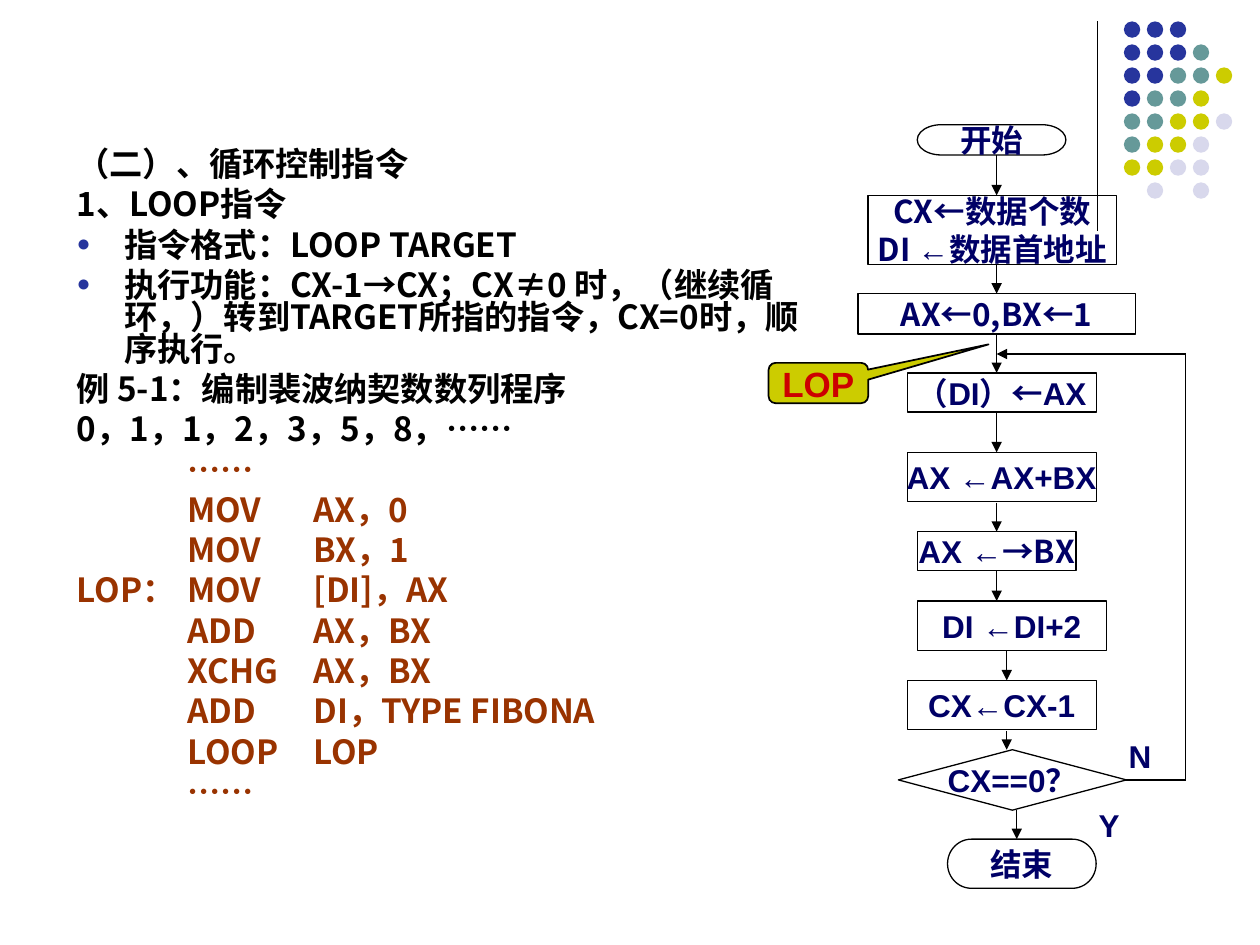
import pptx
import pptx.util
import pptx.dml.color
import pptx.enum.shapes
import pptx.enum.text
import pptx.oxml.ns
import lxml.etree

Inches = pptx.util.Inches
Pt = pptx.util.Pt
SHAPE = pptx.enum.shapes.MSO_SHAPE
ALIGN = pptx.enum.text.PP_ALIGN
NOTO = "Noto Sans CJK SC"
NAVY, BROWN, BLUE = "000066", "993300", "27359D"
TOP, BOTTOM, RIGHT = 0, 2, 3
DOTS = ["BBB", "BBBT", "BBTTY", "BTTY", "TTYYL", "TYYL", "YYLL", " L L"]
TINTS = {"B": BLUE, "T": "669999", "Y": "CCCC00", "L": "D8D8EC"}
NOTES = [
    ("（二）、循环控制指令", False),
    ("1、LOOP指令", False),
    ("指令格式：LOOP TARGET", True),
    ("执行功能：CX-1→CX；CX≠0 时，（继续循环，）转到TARGET所指的指令，CX=0时，顺序执行。", True),
    ("例 5-1：编制裴波纳契数数列程序", False),
    ("0，1，1，2，3，5，8，……", False),
]
CODE = ["\t\t……", "\t\tMOV\tAX，0", "\t\tMOV\tBX，1", "LOP：\tMOV\t[DI]，AX",
        "\t\tADD\tAX，BX", "\t\tXCHG\tAX，BX", "\t\tADD\tDI，TYPE FIBONA",
        "\t\tLOOP\tLOP", "\t\t……"]


def paint(color, value):
    """Set a colour from a hex string."""
    color.rgb = pptx.dml.color.RGBColor.from_string(value)


def add(parent, tag, **attrs):
    """Append a DrawingML child element and return it."""
    name = pptx.oxml.ns.qn("a:" + tag)
    return lxml.etree.SubElement(parent, name, attrs)


def write(par, text, size=18, font="Arial", color=NAVY):
    """Add one bold run to a paragraph."""
    run = par.add_run()
    run.text = text
    run.font.size = Pt(size)
    run.font.bold = True
    paint(run.font.color, color)
    run.font.name = font
    add(run.font._element, "ea", typeface=NOTO)


def draw(slide, kind, place, fill=None, line=None, width=0.75):
    """Add a preset shape with plain fill and outline."""
    shape = slide.shapes.add_shape(kind, *map(Inches, place))
    shape.shadow.inherit = False
    if fill:
        shape.fill.solid()
        paint(shape.fill.fore_color, fill)
    else:
        shape.fill.background()
    if line:
        paint(shape.line.color, line)
        shape.line.width = Pt(width)
    else:
        shape.line.fill.background()
    return shape


def label(shape, *lines, **style):
    """Centre lines in a shape, each a list of (text, font) runs."""
    frame = shape.text_frame
    frame.word_wrap = False
    frame.vertical_anchor = pptx.enum.text.MSO_ANCHOR.MIDDLE
    for i, runs in enumerate(lines):
        par = frame.add_paragraph() if i else frame.paragraphs[0]
        par.alignment = ALIGN.CENTER
        for text, font in runs:
            write(par, text, font=font, **style)


def step(slide, kind, place, *lines):
    """Add one outlined flowchart step with its text."""
    shape = draw(slide, kind, place, line="000000")
    label(shape, *lines)
    return shape


def link(slide, start, end, arrow=True, begin=None, finish=None):
    """Add a straight line, joined to shapes where given."""
    kind = pptx.enum.shapes.MSO_CONNECTOR.STRAIGHT
    line = slide.shapes.add_connector(kind, *map(Inches, start + end))
    if begin:
        line.begin_connect(*begin)
    if finish:
        line.end_connect(*finish)
    paint(line.line.color, "000000")
    line.line.width = Pt(0.75)
    if arrow:
        add(line.line._get_or_add_ln(), "tailEnd", type="triangle")
    add(line._element.spPr, "effectLst")


def box(slide, place):
    """Add a wrapping text box and return its frame."""
    frame = slide.shapes.add_textbox(*map(Inches, place)).text_frame
    frame.word_wrap = True
    return frame


def format_par(par, bullet, first):
    """Set hanging indent, spacing, bullet and tab stops."""
    props = par._p.get_or_add_pPr()
    props.set("marL", str(Inches(0.38)))
    props.set("indent", str(Inches(-0.38)))
    par.line_spacing = 0.8
    par.space_before = Pt(0 if first else 4.8)
    if bullet:
        add(add(props, "buClr"), "srgbClr", val=BLUE)
        add(props, "buSzPct", val="70000")
        add(props, "buFont", typeface="Arial")
        add(props, "buChar", char="●")
    else:
        add(props, "buNone")
    tabs = add(props, "tabLst")
    for i in range(8):
        add(tabs, "tab", pos=str(Inches(i + bullet)), algn="l")


def body(slide):
    """Add the notes and the program text."""
    frame = box(slide, (0.51, 1.15, 6.15, 5.59))
    rows = [(text, dot, "000000") for text, dot in NOTES]
    rows += [(text, False, BROWN) for text in CODE]
    for i, (text, dot, color) in enumerate(rows):
        par = frame.add_paragraph() if i else frame.paragraphs[0]
        format_par(par, dot, i == 0)
        write(par, text, 19, NOTO if i else "Arial", color)


def corner(slide):
    """Add the rule and the dot grid at the top right."""
    link(slide, (8.71, 0.17), (8.71, 1.83), arrow=False)
    gap = 0.73 / 4
    for row, marks in enumerate(DOTS):
        for col, mark in enumerate(marks):
            if mark in TINTS:
                place = (8.92 + col * gap, 0.17 + row * gap, 0.13, 0.13)
                draw(slide, SHAPE.OVAL, place, TINTS[mark])


def chart(slide):
    """Add the flowchart steps, arrows and loop line."""
    task, cap = SHAPE.FLOWCHART_PROCESS, SHAPE.FLOWCHART_TERMINATOR
    step(slide, cap, (7.28, 0.99, 1.18, 0.24), [("开始", "Arial")])
    step(slide, task, (6.89, 1.55, 1.97, 0.55), [("CX←数据个数", NOTO)],
         [("DI ", NOTO), ("←数据首地址", "Arial")])
    init = step(slide, task, (6.81, 2.33, 2.2, 0.32), [("AX←0,BX←1", NOTO)])
    step(slide, task, (7.2, 2.96, 1.5, 0.31), [("（DI）←AX", "Arial")])
    step(slide, task, (7.2, 3.59, 1.5, 0.39), [("AX ←AX+BX", "Arial")])
    swap = step(slide, task, (7.28, 4.22, 1.26, 0.31),
                [("AX ←", "Arial"), ("→BX", NOTO)])
    step(slide, task, (7.28, 4.77, 1.5, 0.39), [("DI ←DI+2", "Arial")])
    step(slide, task, (7.2, 5.4, 1.5, 0.39), [("CX←CX-1", "Arial")])
    test = step(slide, SHAPE.FLOWCHART_DECISION, (7.13, 5.95, 1.81, 0.48),
                [("CX==0？", "Arial")])
    step(slide, cap, (7.52, 6.66, 1.18, 0.39), [("结束", "Arial")])

    for x, top, end, begin, finish in [
        (7.91, 1.23, 1.55, None, None),
        (7.91, 2.1, 2.33, None, (init, TOP)),
        (7.91, 2.65, 2.96, (init, BOTTOM), None),
        (7.91, 3.28, 3.59, None, None),
        (7.91, 3.99, 4.22, None, (swap, TOP)),
        (7.91, 4.54, 4.77, (swap, BOTTOM), None),
        (7.99, 5.17, 5.4, None, None),
        (7.99, 5.8, 5.95, None, None),
        (8.07, 6.43, 6.66, None, None),
    ]:
        link(slide, (x, top), (x, end), begin=begin, finish=finish)
    link(slide, (8.94, 6.19), (9.41, 6.19), arrow=False, begin=(test, RIGHT))
    link(slide, (9.41, 6.19), (9.41, 2.81), arrow=False)
    link(slide, (9.41, 2.81), (7.91, 2.81))

    for text, left, top in [("N", 8.86, 5.8), ("Y", 8.62, 6.35)]:
        frame = box(slide, (left, top, 0.39, 0.4))
        frame.auto_size = pptx.enum.text.MSO_AUTO_SIZE.SHAPE_TO_FIT_TEXT
        write(frame.paragraphs[0], text)

    call = draw(slide, SHAPE.ROUNDED_RECTANGULAR_CALLOUT,
                (6.1, 2.88, 0.79, 0.32), "CCCC00", "000000", 1)
    for i, value in enumerate((1.71, -0.96, 0.17)):
        call.adjustments[i] = value
    label(call, [("LOP", "Arial")], size=20, color="CC0000")


def main():
    """Build and save the slide."""
    deck = pptx.Presentation()
    deck.slide_width, deck.slide_height = Inches(10), Inches(7.5)
    slide = deck.slides.add_slide(deck.slide_layouts[6])
    corner(slide)
    body(slide)
    chart(slide)
    deck.save("out.pptx")


if __name__ == "__main__":
    main()
